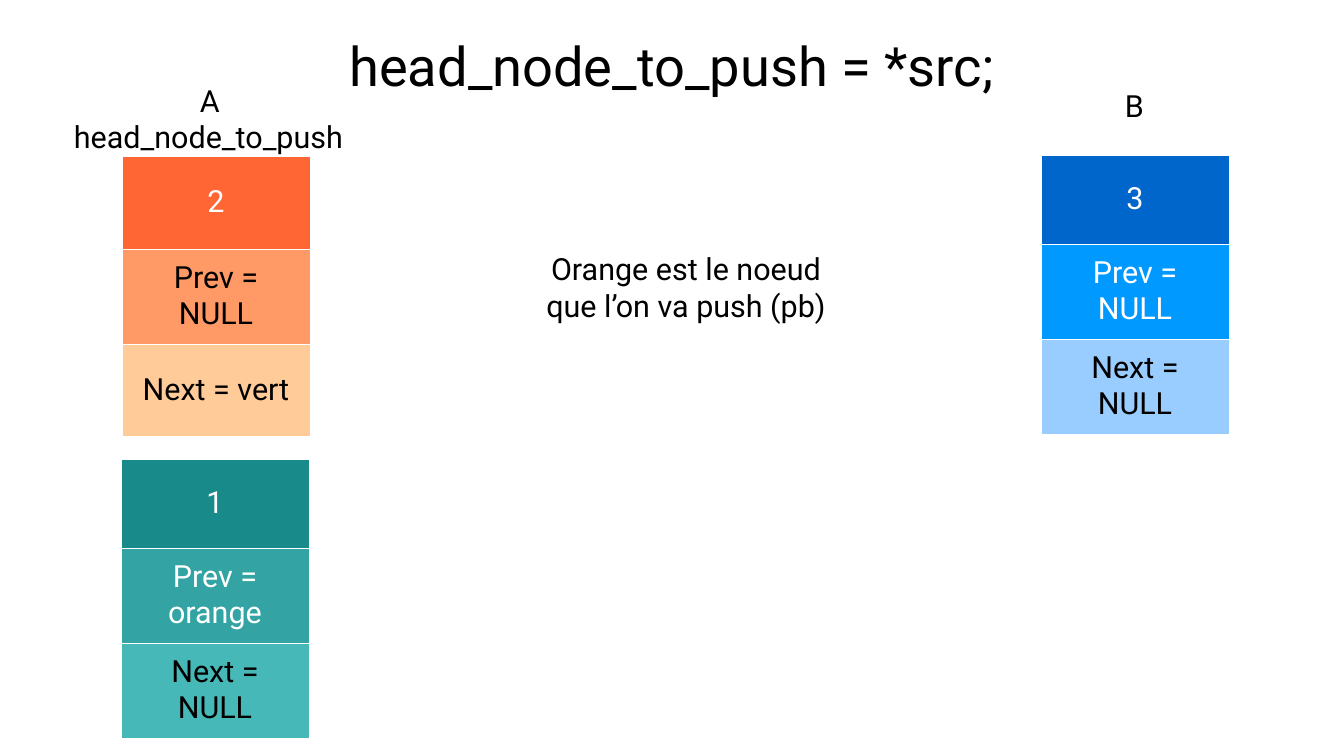
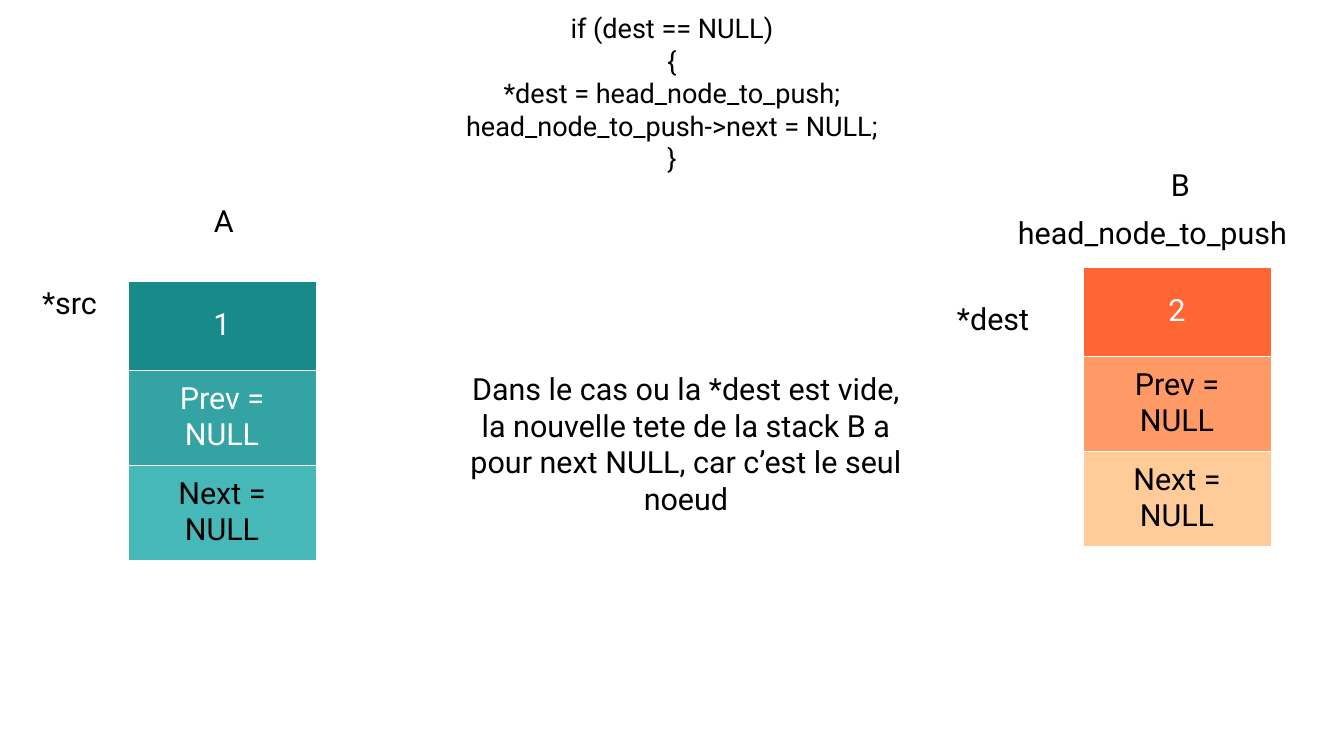
import lxml.etree
import pptx
import pptx.dml.color
import pptx.enum.text
import pptx.oxml.ns
import pptx.util

RGB = pptx.dml.color.RGBColor
ALIGN = pptx.enum.text.PP_ALIGN
ANCHOR = pptx.enum.text.MSO_ANCHOR
SCALE = 914400 / 122
FONT = "Roboto"
WHITE = RGB(0xFF, 0xFF, 0xFF)
BLACK = RGB(0x00, 0x00, 0x00)
ORANGE = (RGB(0xFF, 0x66, 0x33), RGB(0xFF, 0x99, 0x66), RGB(0xFF, 0xCC, 0x99))
GREEN = (RGB(0x19, 0x8A, 0x8A), RGB(0x33, 0xA3, 0xA3), RGB(0x47, 0xB8, 0xB8))
BLUE = (RGB(0x00, 0x66, 0xCC), RGB(0x00, 0x99, 0xFF), RGB(0x99, 0xCC, 0xFF))
WARM_INK = (WHITE, BLACK, BLACK)
COOL_INK = (WHITE, WHITE, BLACK)
ROWS = (89, 95, 95)
NODE_WIDTH = 188


def px(value):
    return pptx.util.Emu(round(value * SCALE))


def write(frame, text, size=18, color=BLACK, align=ALIGN.LEFT):
    frame.word_wrap = True
    frame.text = text
    for line in frame.paragraphs:
        line.alignment = align
        for run in line.runs:
            run.font.name = FONT
            run.font.size = pptx.util.Pt(size)
            run.font.color.rgb = color


def add_text(slide, box, text, **style):
    frame = slide.shapes.add_textbox(*map(px, box)).text_frame
    write(frame, text, **style)
    return frame


def add_title(slide, text, top, height, size):
    frame = add_text(slide, (67, top, 1210, height), text, size=size, align=ALIGN.CENTER)
    frame.vertical_anchor = ANCHOR.MIDDLE
    frame.margin_left = frame.margin_right = 0
    frame.margin_top = frame.margin_bottom = 0


def add_border(cell):
    props = cell._tc.get_or_add_tcPr()
    name = pptx.oxml.ns.qn
    for index, side in enumerate(("a:lnL", "a:lnR", "a:lnT", "a:lnB")):
        line = lxml.etree.Element(name(side), w="762")
        fill = lxml.etree.SubElement(line, name("a:solidFill"))
        lxml.etree.SubElement(fill, name("a:srgbClr"), val=str(WHITE))
        props.insert(index, line)


def add_node(slide, left, top, texts, fills, inks, rows=ROWS):
    box = map(px, (left, top, NODE_WIDTH, sum(rows)))
    table = slide.shapes.add_table(len(rows), 1, *box).table
    for index, (text, fill, ink, height) in enumerate(zip(texts, fills, inks, rows)):
        table.rows[index].height = px(height)
        cell = table.cell(index, 0)
        cell.fill.solid()
        cell.fill.fore_color.rgb = fill
        cell.vertical_anchor = ANCHOR.MIDDLE
        write(cell.text_frame, text, color=ink, align=ALIGN.CENTER)
        add_border(cell)


def draw_source(slide):
    add_title(slide, "head_node_to_push = *src;", 20, 90, 32)
    add_node(slide, 121, 459, ("1", "Prev = orange", "Next = NULL"), GREEN, COOL_INK)
    add_node(slide, 122, 156, ("2", "Prev = NULL", "Next = vert"), ORANGE, WARM_INK,
             rows=(93, 95, 92))
    add_node(slide, 1041, 155, ("3", "Prev = NULL", "Next = NULL"), BLUE, COOL_INK)
    add_text(slide, (188, 76, 61, 54), "A")
    add_text(slide, (1113, 81, 61, 54), "B")
    add_text(slide, (62, 112, 320, 54), "head_node_to_push")
    add_text(slide, (518, 244, 336, 95), "Orange est le noeud que l’on va push (pb)",
             align=ALIGN.CENTER)


def draw_target(slide):
    add_title(slide, "if (dest == NULL)\n{\n*dest = head_node_to_push;\n"
              "head_node_to_push->next = NULL;\n}", 1, 184, 16)
    add_node(slide, 1083, 267, ("2", "Prev = NULL", "Next = NULL"), ORANGE, WARM_INK)
    add_node(slide, 128, 281, ("1", "Prev = NULL", "Next = NULL"), GREEN, COOL_INK)
    add_text(slide, (30, 278, 92, 54), "*src")
    add_text(slide, (1006, 208, 320, 54), "head_node_to_push")
    add_text(slide, (202, 196, 61, 54), "A")
    add_text(slide, (1159, 160, 61, 54), "B")
    add_text(slide, (945, 294, 122, 54), "*dest")
    add_text(slide, (457, 364, 458, 178),
             "Dans le cas ou la *dest est vide, la nouvelle tete de la stack B a "
             "pour next NULL, car c’est le seul noeud", align=ALIGN.CENTER)


def main():
    deck = pptx.Presentation()
    deck.slide_width, deck.slide_height = px(1344), px(756)
    for draw in (draw_source, draw_target):
        draw(deck.slides.add_slide(deck.slide_layouts[6]))
    deck.save("out.pptx")


if __name__ == "__main__":
    main()
